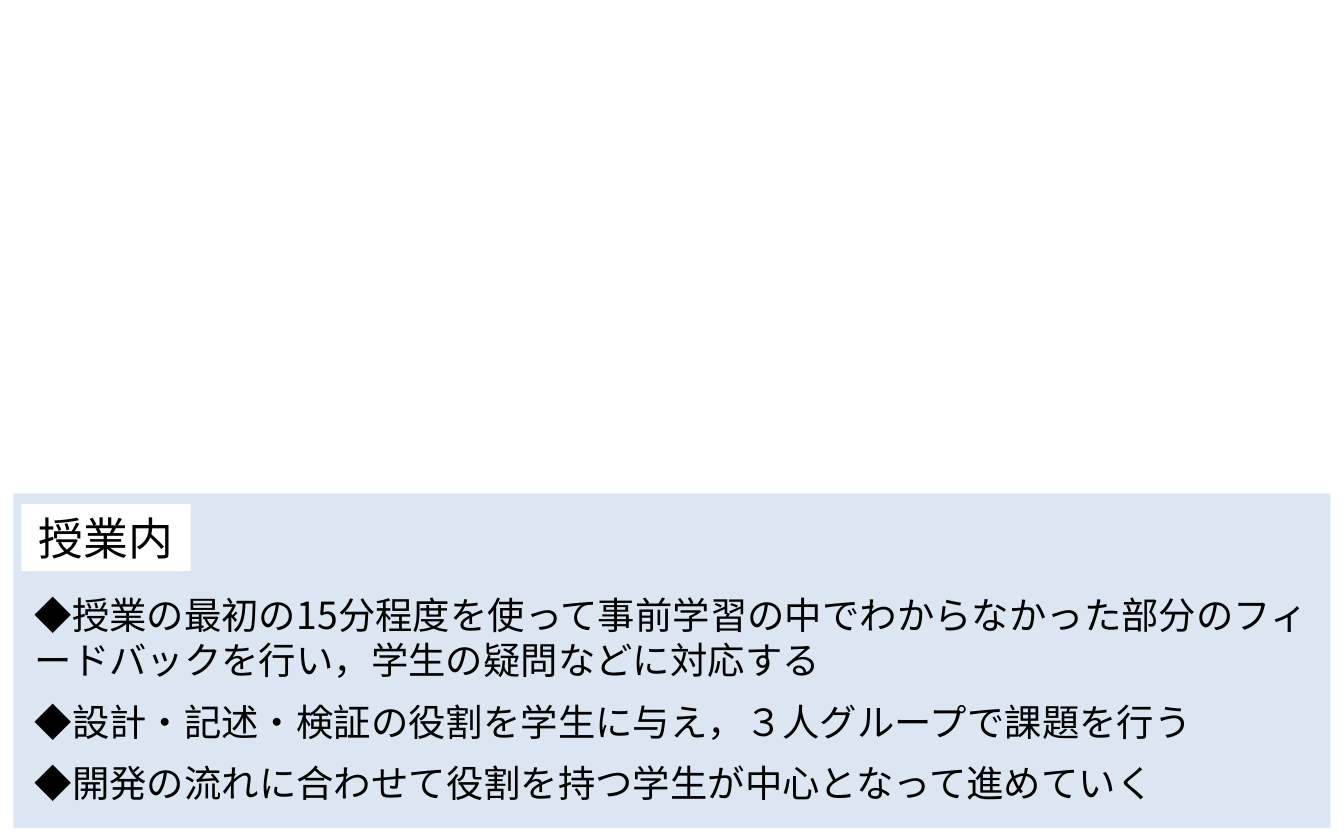
import pptx
import pptx.dml.color
import pptx.enum.shapes
import pptx.enum.text
import pptx.oxml.ns
import pptx.util
from lxml import etree
from pptx.util import Inches, Pt

FONT = "Noto Sans CJK JP"
LEFT = 0.16
POINTS = [
    (4.36, 9.83, 0.77, ["◆授業の最初の15分程度を使って事前学習の中でわからなかった部分のフィ",
                        "ードバックを行い，学生の疑問などに対応する"]),
    (5.15, 8.9, 0.44, ["◆設計・記述・検証の役割を学生に与え，３人グループで課題を行う"]),
    (5.61, 8.62, 0.44, ["◆開発の流れに合わせて役割を持つ学生が中心となって進めていく"]),
]


def color(hex_code):
    return pptx.dml.color.RGBColor.from_string(hex_code)


def add_panel(slide, left, top, width, height, fill):
    panel = slide.shapes.add_shape(
        pptx.enum.shapes.MSO_SHAPE.RECTANGLE,
        Inches(left), Inches(top), Inches(width), Inches(height))
    panel.shadow.inherit = False
    panel.fill.solid()
    panel.fill.fore_color.rgb = color(fill)
    panel.line.fill.background()
    return panel


def write_lines(frame, lines, size, align):
    """Fill a text frame, one paragraph per line, with a fixed line pitch."""
    frame.word_wrap = False
    frame.text = "\n".join(lines)
    for paragraph in frame.paragraphs:
        paragraph.alignment = align
        paragraph.line_spacing = Pt(size * 1.2)
        paragraph.font.size = Pt(size)
        paragraph.font.name = FONT
        paragraph.font.color.rgb = color("000000")
        for run in paragraph.runs:
            run_format = run.font
            run_format.name = FONT
            # East Asian glyphs take their typeface from a:ea
            east_asian = etree.SubElement(
                run._r.get_or_add_rPr(), pptx.oxml.ns.qn("a:ea"))
            east_asian.set("typeface", FONT)


def add_heading(slide, text):
    heading = add_panel(slide, LEFT, 3.75, 1.26, 0.5, "FFFFFF")
    write_lines(heading.text_frame, [text], 24, pptx.enum.text.PP_ALIGN.CENTER)


def add_point(slide, top, width, height, lines):
    point = slide.shapes.add_textbox(
        Inches(LEFT), Inches(top), Inches(width), Inches(height))
    write_lines(point.text_frame, lines, 20, pptx.enum.text.PP_ALIGN.LEFT)


def main():
    deck = pptx.Presentation()
    deck.slide_width, deck.slide_height = Inches(10), Inches(6.25)
    slide = deck.slides.add_slide(deck.slide_layouts[6])
    add_panel(slide, 0.1, 3.67, 9.8, 2.49, "DCE6F2")
    add_heading(slide, "授業内")
    for top, width, height, lines in POINTS:
        add_point(slide, top, width, height, lines)
    deck.save("out.pptx")


if __name__ == "__main__":
    main()
